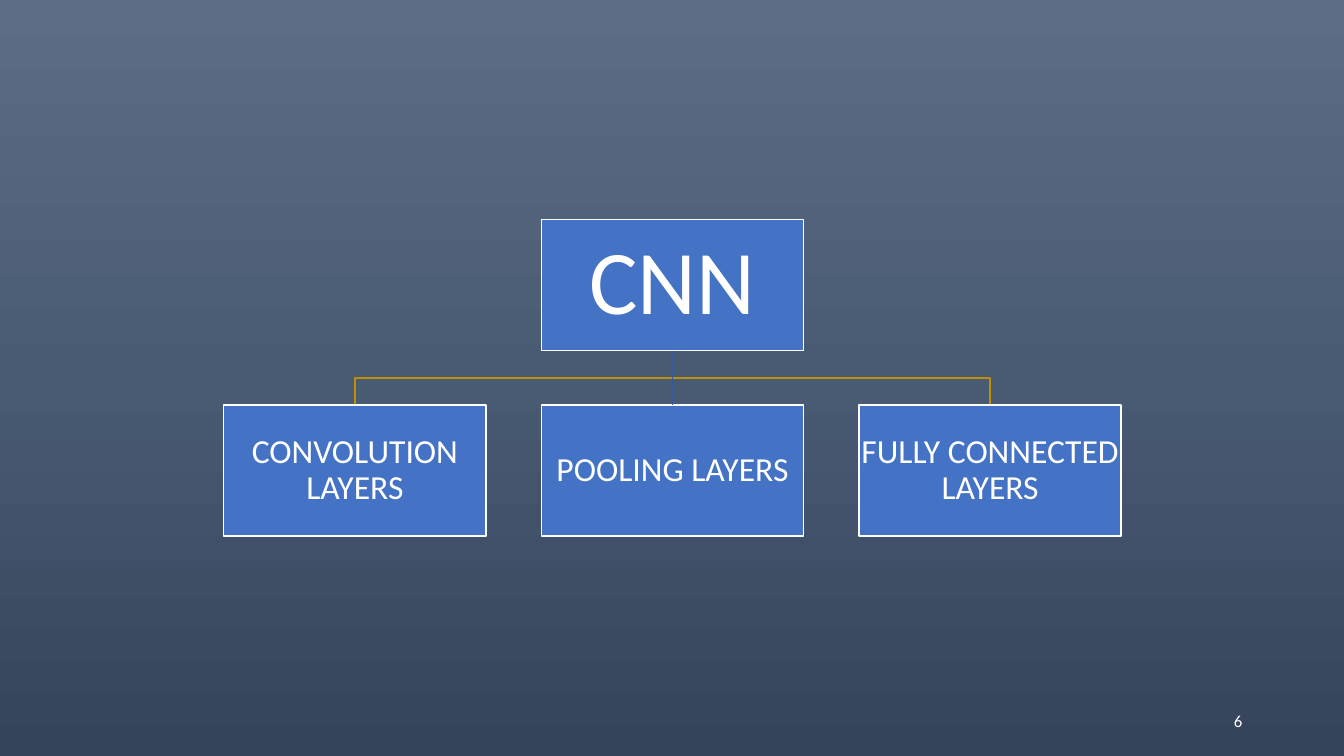
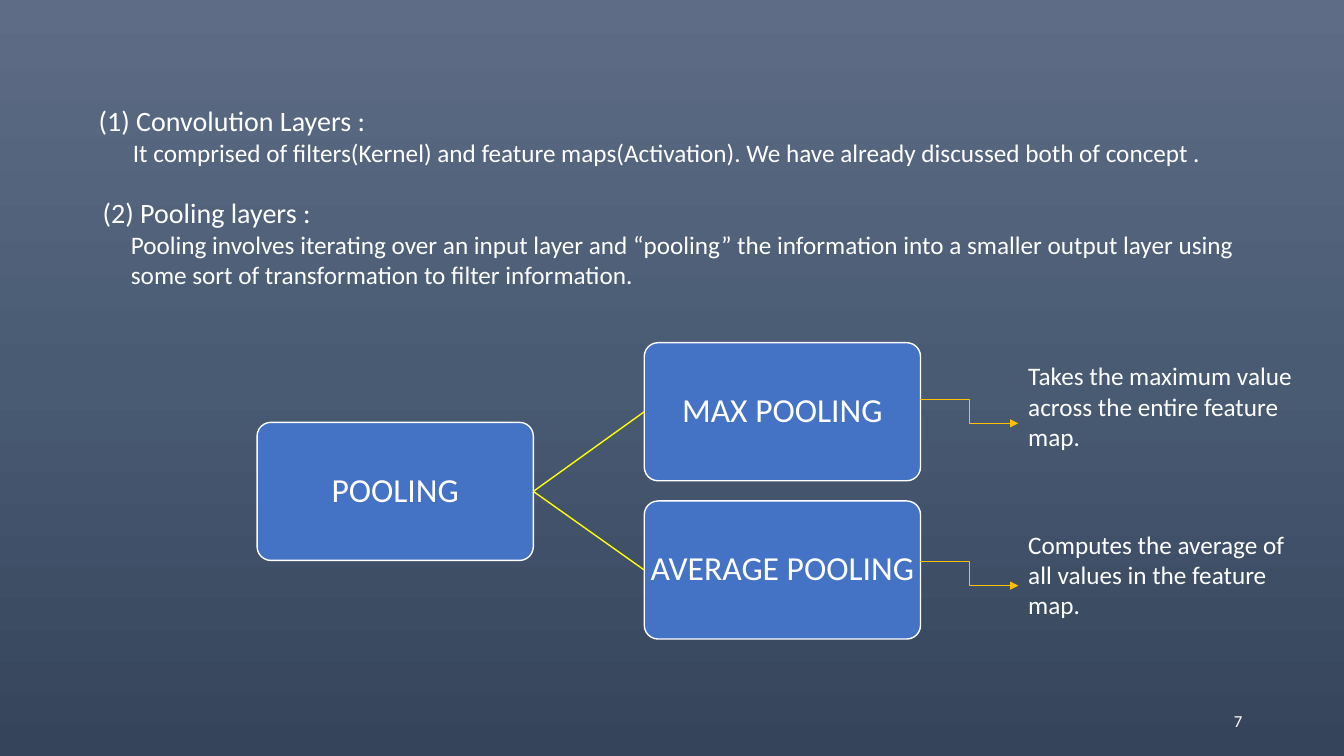
from copy import deepcopy
from pptx import Presentation
from pptx.dml.color import RGBColor as RGB
from pptx.enum.shapes import MSO_CONNECTOR as LINE, MSO_SHAPE as FORM
from pptx.enum.text import MSO_ANCHOR as ANCHOR, PP_ALIGN as ALIGN
from pptx.oxml.ns import qn
from pptx.oxml.xmlchemy import OxmlElement as Node
from pptx.util import Pt

PX = 9144
FONT = "Calibri"
HUE = {
    "top": "5E6D85", "mid": "495A73", "base": "35445A", "box": "4472C4",
    "text": "FFFFFF", "leg": "BF9000", "stem": "365B9D", "fork": "FFFF00",
    "arrow": "FFC000",
}


def write(shape, rows, align=ALIGN.LEFT, space=None):
    frame = shape.text_frame
    frame.word_wrap = True
    for i, (text, size, indent) in enumerate(rows):
        para = frame.add_paragraph() if i else frame.paragraphs[0]
        para.text = text
        para.alignment = align
        para.line_spacing = space
        if indent:
            para._p.get_or_add_pPr().set("marL", str(indent * PX))
        para.font.name = FONT
        para.font.size = Pt(size)
        para.font.color.rgb = RGB.from_string(HUE["text"])
    return frame


def link(slide, kind, ends, hue, weight):
    line = slide.shapes.add_connector(kind, *[n * PX for n in ends])
    line.line.color.rgb = RGB.from_string(HUE[hue])
    line.line.width = Pt(weight)
    line._element.spPr.append(Node("a:effectLst"))
    return line


deck = Presentation()
deck.slide_width, deck.slide_height = 1333 * PX, 750 * PX

master = deck.slide_master
fill = master.background.fill
fill.gradient()
fill.gradient_angle = 270
stops = master.element.find(".//" + qn("a:gsLst"))
stops.insert(1, deepcopy(stops[0]))
for stop, spot, hue in zip(fill.gradient_stops, (0, 0.5, 1), ("top", "mid", "base")):
    stop.position = spot
    stop.color.rgb = RGB.from_string(HUE[hue])

blank = deck.slide_layouts[6]
tree, pool = [deck.slides.add_slide(blank) for _ in range(2)]

for x in (352, 982):
    path = tree.shapes.build_freeform(667, 348, scale=PX)
    path.add_line_segments([(667, 375), (x, 375), (x, 402)], close=False)
    leg = path.convert_to_shape()
    leg.fill.background()
    leg.line.color.rgb = RGB.from_string(HUE["leg"])
    leg.line.width = Pt(1)
    leg.shadow.inherit = False

nodes = [(tree, FORM.RECTANGLE, "CNN", 537, 218, 260, 130, 65, 5)]
names = ("CONVOLUTION LAYERS", "POOLING LAYERS", "FULLY CONNECTED LAYERS")
for i, name in enumerate(names):
    nodes.append((tree, FORM.RECTANGLE, name, 222 + i * 315, 402, 260, 130, 24, 2))
for name, x, y in (
    ("POOLING", 255, 419), ("MAX POOLING", 639, 340), ("AVERAGE POOLING", 639, 497),
):
    nodes.append((pool, FORM.ROUNDED_RECTANGLE, name, x, y, 274, 137, 24, 2))

boxes = {}
for slide, form, name, x, y, w, h, size, inset in nodes:
    box = slide.shapes.add_shape(form, x * PX, y * PX, w * PX, h * PX)
    if form == FORM.ROUNDED_RECTANGLE:
        box.adjustments[0] = 0.1
    box.shadow.inherit = False
    box.fill.solid()
    box.fill.fore_color.rgb = RGB.from_string(HUE["box"])
    box.line.color.rgb = RGB.from_string(HUE["text"])
    box.line.width = Pt(1)
    frame = write(box, [(name, size, 0)], ALIGN.CENTER, 0.9)
    frame.vertical_anchor = ANCHOR.MIDDLE
    frame.margin_left = frame.margin_right = inset * PX
    frame.margin_top = frame.margin_bottom = inset * PX
    boxes[name] = box

for slide, start, out, end, into, ends, hue in (
    (tree, "CNN", 2, "POOLING LAYERS", 0, (667, 348, 667, 402), "stem"),
    (pool, "POOLING", 3, "MAX POOLING", 1, (529, 487, 639, 408), "fork"),
    (pool, "POOLING", 3, "AVERAGE POOLING", 1, (529, 487, 639, 566), "fork"),
):
    line = link(slide, LINE.STRAIGHT, ends, hue, 1)
    line.begin_connect(boxes[start], out)
    line.end_connect(boxes[end], into)

for y in (396, 557):
    arrow = link(pool, LINE.ELBOW, (912, y, 1010, y + 24), "arrow", 0.5)
    head = Node("a:tailEnd")
    head.set("type", "triangle")
    arrow.line._get_or_add_ln().append(head)

for x, y, w, h, rows in (
    (88, 98, 1159, 74, [
        ("(1) Convolution Layers :", 20, 0),
        ("It comprised of filters(Kernel) and feature maps(Activation). "
         "We have already discussed both of concept .", 18, 34),
    ]),
    (92, 189, 1150, 104, [
        ("(2) Pooling layers :", 20, 0),
        ("Pooling involves iterating over an input layer and “pooling” the information "
         "into a smaller output layer using some sort of transformation to filter "
         "information.", 18, 28),
    ]),
    (1010, 353, 323, 101, [
        ("Takes the maximum value across the entire feature map.", 18, 0),
    ]),
    (1010, 520, 274, 101, [
        ("Computes the average of all values in the feature map.", 18, 0),
    ]),
):
    write(pool.shapes.add_textbox(x * PX, y * PX, w * PX, h * PX), rows)

for page, slide in enumerate((tree, pool), 6):
    foot = slide.shapes.add_textbox(942 * PX, 695 * PX, 300 * PX, 40 * PX)
    write(foot, [(str(page), 12, 0)], ALIGN.RIGHT).vertical_anchor = ANCHOR.MIDDLE

deck.save("out.pptx")
